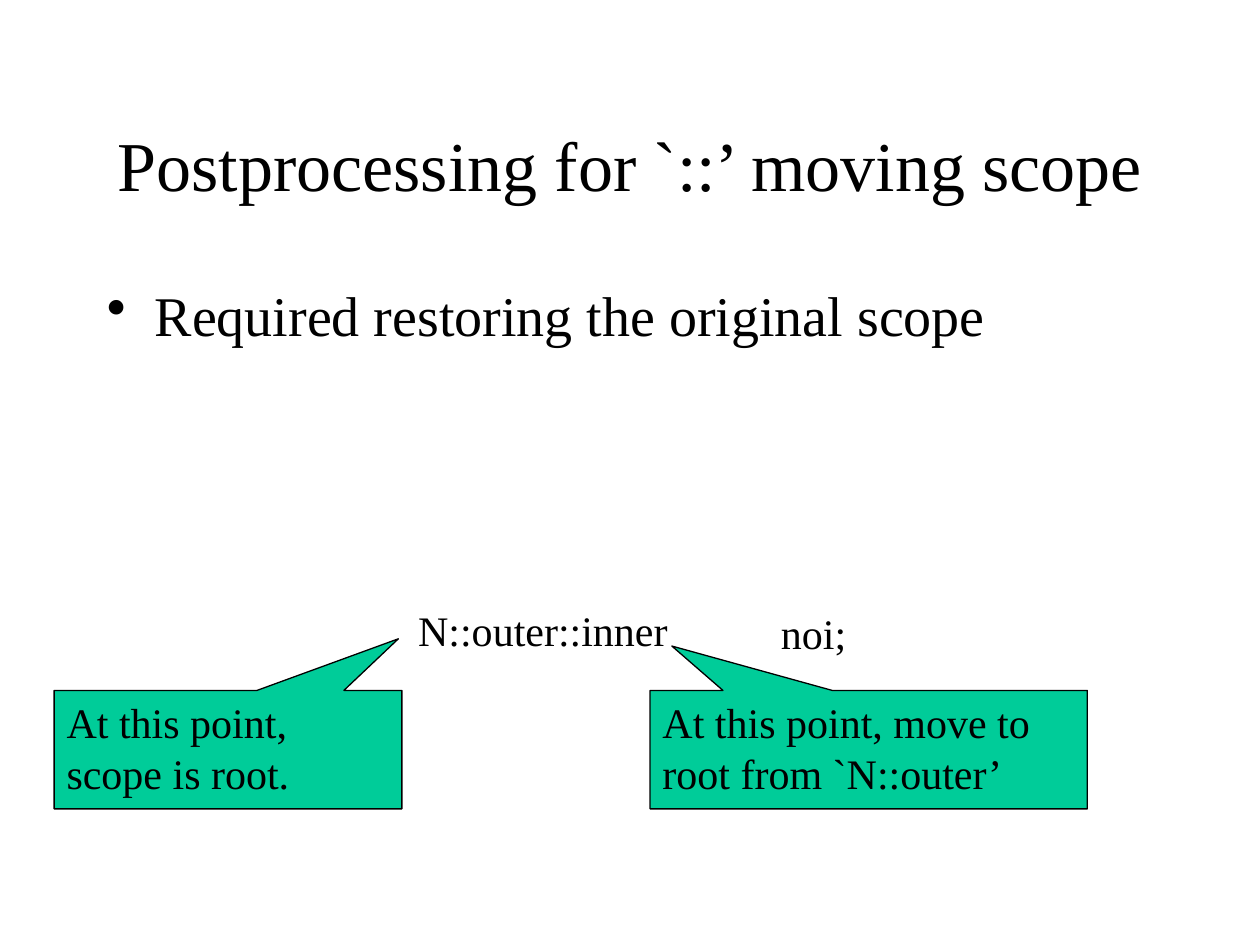
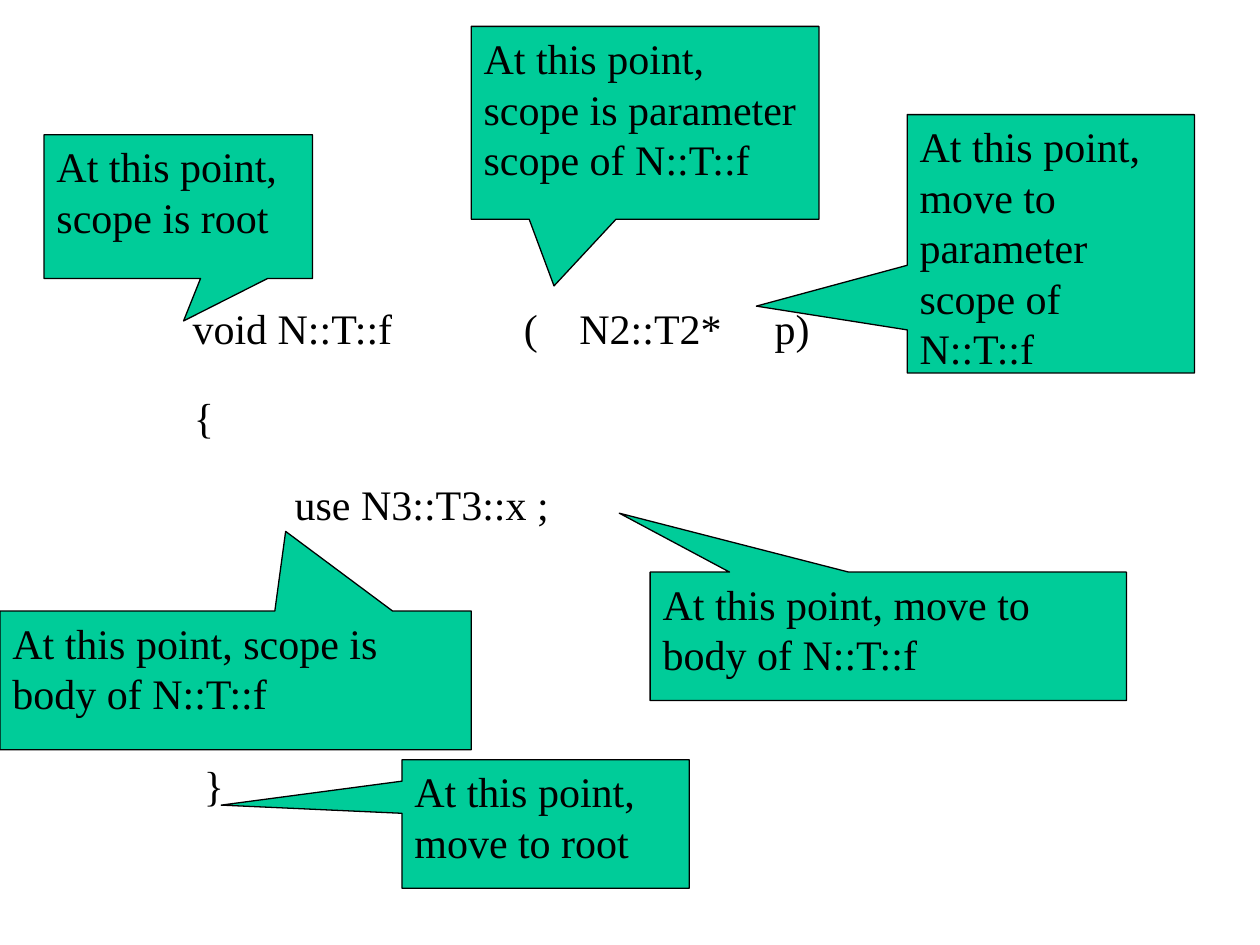
from dataclasses import dataclass

from lxml import etree
from pptx import Presentation
from pptx.dml.color import RGBColor
from pptx.enum.shapes import MSO_SHAPE
from pptx.enum.text import MSO_ANCHOR, PP_ALIGN
from pptx.oxml.ns import qn
from pptx.util import Inches, Pt

COLUMNS, ROWS = 40, 30


@dataclass(frozen=True)
class Theme:
    font: str = "Times New Roman"
    ink: RGBColor = RGBColor(0, 0, 0)
    paper: RGBColor = RGBColor(255, 255, 255)
    callout: RGBColor = RGBColor(0, 0xCC, 0x99)
    outline: float = 0.75
    title: int = 40
    bullet: int = 32
    body: int = 24


@dataclass(frozen=True)
class Box:
    col: float
    row: float
    cols: float
    rows: float

    def inside(self, col, row, cols, rows):
        return Box(self.col + col, self.row + row, cols, rows)

    def lengths(self):
        column, row = Inches(10) / COLUMNS, Inches(7.5) / ROWS
        return [int(n) for n in (self.col * column, self.row * row,
                                 self.cols * column, self.rows * row)]


THEME = Theme()
PAGE = Box(0, 0, COLUMNS, ROWS)


def add_bullet(paragraph):
    properties = paragraph._p.get_or_add_pPr()
    properties.set("marL", str(Inches(0.38)))
    properties.set("indent", str(-Inches(0.38)))
    etree.SubElement(properties, qn("a:buChar")).set("char", "•")


def add_tabs(paragraph, stops):
    tab_list = etree.SubElement(paragraph._p.get_or_add_pPr(), qn("a:tabLst"))
    for stop in stops:
        tab = etree.SubElement(tab_list, qn("a:tab"))
        tab.set("pos", str(Inches(stop)))
        tab.set("algn", "l")


def write(frame, text, size=THEME.body, align=PP_ALIGN.LEFT,
          anchor=MSO_ANCHOR.TOP, bullet=False, tabs=()):
    frame.word_wrap = True
    frame.vertical_anchor = anchor
    frame.text = text
    paragraph = frame.paragraphs[0]
    paragraph.alignment = align
    if bullet:
        add_bullet(paragraph)
    if tabs:
        add_tabs(paragraph, tabs)
    paragraph.font.name = THEME.font
    paragraph.font.size = Pt(size)
    paragraph.font.color.rgb = THEME.ink


def add_text(slide, box, text, **text_format):
    write(slide.shapes.add_textbox(*box.lengths()).text_frame, text, **text_format)


def add_title(slide, box, text):
    title = slide.shapes.title
    title.left, title.top, title.width, title.height = box.lengths()
    write(title.text_frame, text, size=THEME.title,
          align=PP_ALIGN.CENTER, anchor=MSO_ANCHOR.MIDDLE)


def add_callout(slide, box, tip, text):
    callout = slide.shapes.add_shape(MSO_SHAPE.RECTANGULAR_CALLOUT, *box.lengths())
    callout.adjustments[0] = (tip[0] - box.col) / box.cols - 0.5
    callout.adjustments[1] = (tip[1] - box.row) / box.rows - 0.5
    callout.shadow.inherit = False
    callout.fill.solid()
    callout.fill.fore_color.rgb = THEME.callout
    callout.line.color.rgb = THEME.ink
    callout.line.width = Pt(THEME.outline)
    write(callout.text_frame, text)


def add_annotated_code(slide, box, code, callouts):
    for place, text, tabs in code:
        add_text(slide, box.inside(*place, 2), text, tabs=tabs)
    for place, (tip_col, tip_row), text in callouts:
        add_callout(slide, box.inside(*place),
                    (box.col + tip_col, box.row + tip_row), text)


def add_slide(deck, layout):
    slide = deck.slides.add_slide(deck.slide_layouts.get_by_name(layout))
    slide.background.fill.solid()
    slide.background.fill.fore_color.rgb = THEME.paper
    return slide


def build_postprocessing(deck):
    slide = add_slide(deck, "Title Only")
    add_title(slide, PAGE.inside(3, 2.68, 34, 5), "Postprocessing for `::’ moving scope")
    add_text(slide, PAGE.inside(3, 8.72, 34, 5.36),
             "Required restoring the original scope", size=THEME.bullet, bullet=True)
    code = [((12.88, 0, 9), "N::outer::inner", ()),
            ((24.4, 0.08, 3.2), "noi;", ())]
    callouts = [
        ((1.72, 2.92, 11.04, 3.76), (12.65, 1.28), "At this point, scope is root."),
        ((20.64, 2.92, 13.88, 3.76), (21.33, 1.51),
         "At this point, move to root from `N::outer’"),
    ]
    add_annotated_code(slide, PAGE.inside(0, 19, COLUMNS, 11), code, callouts)


def build_function_scopes(deck):
    slide = add_slide(deck, "Blank")
    code = [
        ((5.72, 9.4, 7.6), "void N::T::f", ()),
        ((16.24, 9.4, 10.4), "(\tN2::T2*\tp)", (0.44, 1.99)),
        ((5.76, 12.24, 1.44), "{", ()),
        ((6.08, 23.92, 1.44), "}", ()),
        ((8.96, 15, 9.2), "use N3::T3::x ;", ()),
    ]
    callouts = [
        ((1.4, 4.28, 8.52, 4.56), (5.83, 10.19), "At this point, scope is root"),
        ((12.76, 24.12, 9.12, 4.08), (7.02, 25.56), "At this point, move to root"),
        ((14.96, 0.84, 11.04, 6.12), (17.59, 9.08),
         "At this point, scope is parameter scope of N::T::f"),
        ((28.8, 3.64, 9.12, 8.2), (24.01, 9.72),
         "At this point, move to parameter scope of N::T::f"),
        ((0, 19.4, 14.96, 4.4), (9.07, 16.87),
         "At this point, scope is body of N::T::f"),
        ((20.64, 18.16, 15.12, 4.08), (19.66, 16.29),
         "At this point, move to body of N::T::f"),
    ]
    add_annotated_code(slide, PAGE, code, callouts)


def main():
    deck = Presentation()
    deck.slide_width, deck.slide_height = Inches(10), Inches(7.5)
    build_postprocessing(deck)
    build_function_scopes(deck)
    deck.save("out.pptx")


if __name__ == "__main__":
    main()
